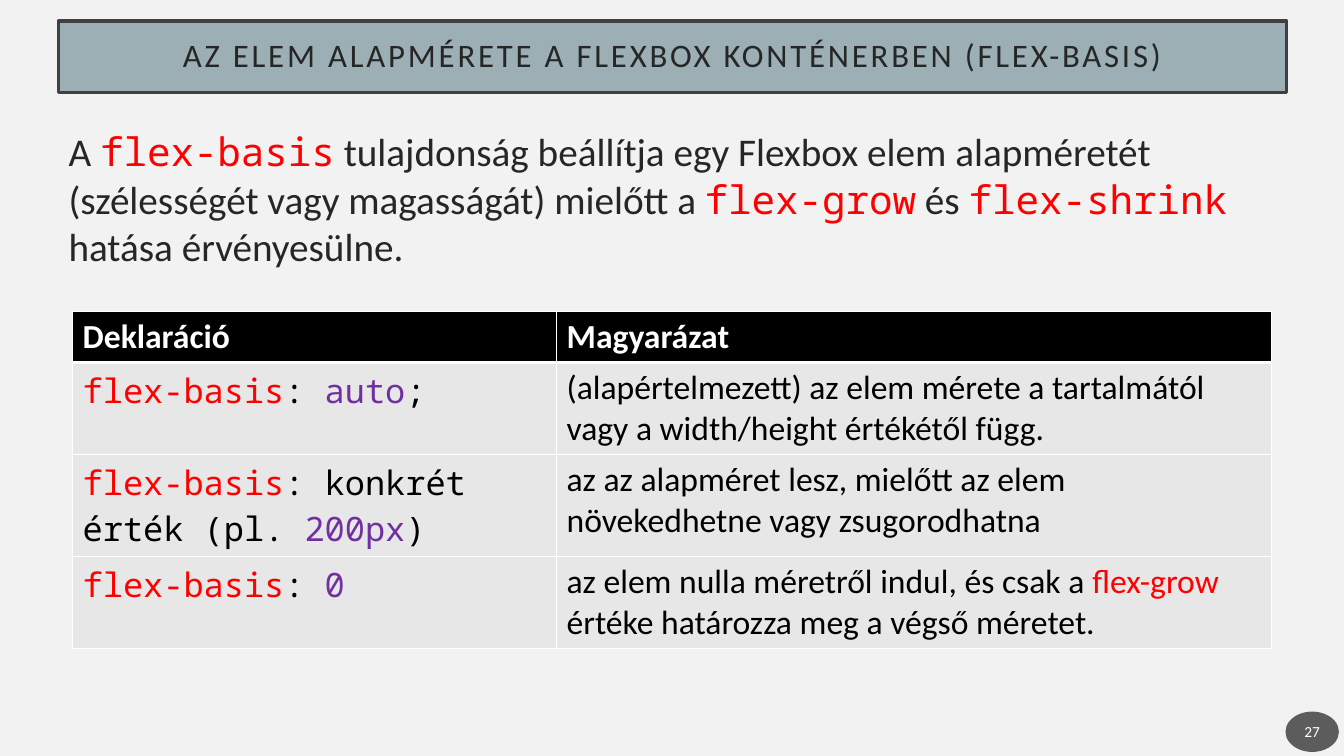
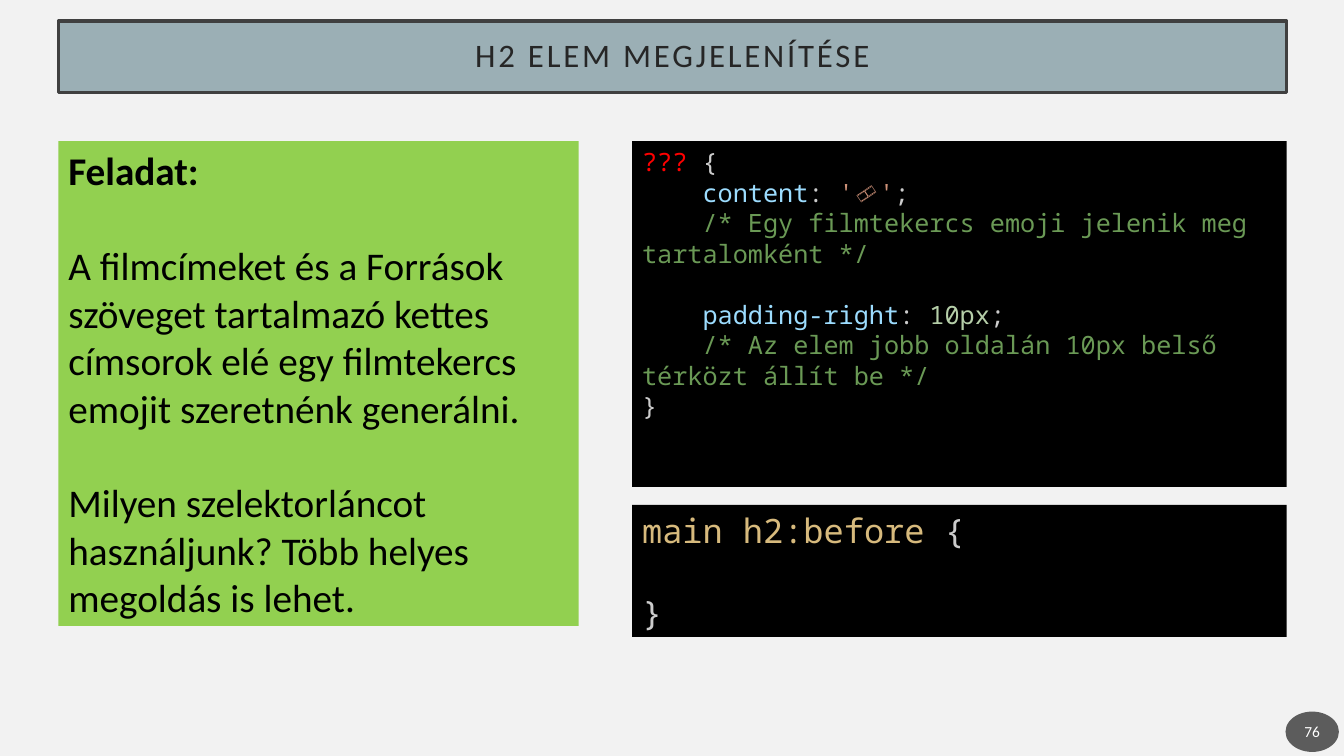
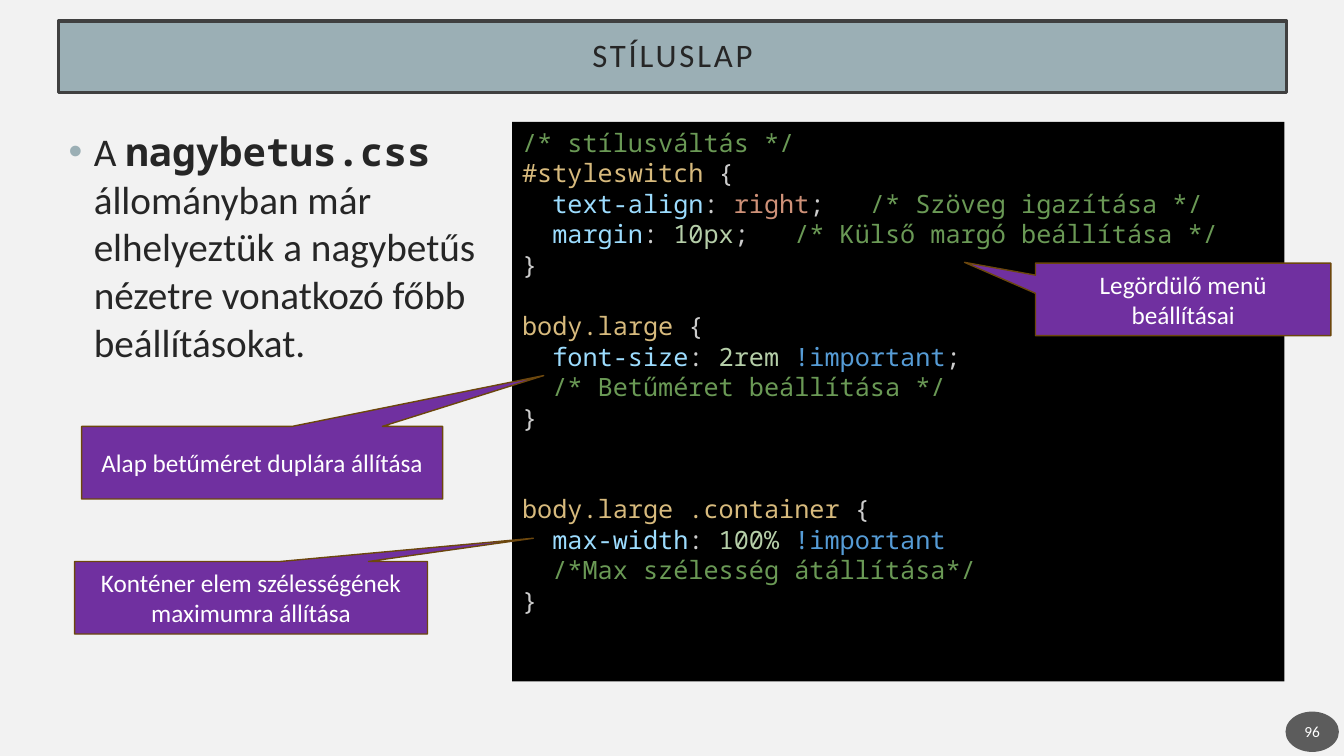
import pptx
import pptx.util
import pptx.dml.color
import pptx.enum.shapes
import pptx.enum.text
import pptx.oxml
import pptx.oxml.ns
import lxml.etree

Inches = pptx.util.Inches
Pt = pptx.util.Pt
SHAPE = pptx.enum.shapes.MSO_SHAPE
ALIGN = pptx.enum.text.PP_ALIGN
ANCHOR = pptx.enum.text.MSO_ANCHOR
qn = pptx.oxml.ns.qn

SANS, MONO = "Calibri", "Noto Sans Mono"
BG, BAND, BAND_LINE, INK, BADGE = "F2F2F2", "9BAFB5", "404040", "262626", "1D1D1D"
BLACK, WHITE, RED, PURPLE, GREEN = "000000", "FFFFFF", "FF0000", "7030A0", "92D050"
ROW_FILL, CALLOUT_LINE = "E7E7E7", "6C470D"
PLAIN, SELECTOR, PROPERTY, STRING = "CCCCCC", "D7BA7D", "9CDCFE", "CE9178"
NUMBER, KEYWORD, COMMENT = "B5CEA8", "569CD6", "6A9955"

LEFT, WIDTH = 0.58, 12.18
LINE_FACTOR = 1.21

BASIS = {
    "title": "AZ ELEM ALAPMÉRETE A FLEXBOX KONTÉNERBEN (FLEX-BASIS)",
    "number": 27,
    "body": [
        ("A ", INK), ("flex-basis", RED, MONO),
        (" tulajdonság beállítja egy Flexbox elem alapméretét (szélességét vagy magasságát) mielőtt a ", INK),
        ("flex-grow", RED, MONO), (" és ", INK), ("flex-shrink", RED, MONO),
        (" hatása érvényesülne.", INK),
    ],
    "columns": [4.8, 7.09],
    "row_heights": [0.5, 0.91, 1.01, 0.91],
    "rows": [
        ([("Deklaráció", WHITE, SANS, True)], [("Magyarázat", WHITE, SANS, True)]),
        ([("flex-basis", RED, MONO), (": ", BLACK, MONO), ("auto", PURPLE, MONO), (";", BLACK, MONO)],
         [("(alapértelmezett) az elem mérete a tartalmától vagy a width/height értékétől függ.", BLACK)]),
        ([("flex-basis", RED, MONO), (": konkrét érték (pl. ", BLACK, MONO),
          ("200px", PURPLE, MONO), (")", BLACK, MONO)],
         [("az az alapméret lesz, mielőtt az elem növekedhetne vagy zsugorodhatna", BLACK)]),
        ([("flex-basis", RED, MONO), (": ", BLACK, MONO), ("0", PURPLE, MONO)],
         [("az elem nulla méretről indul, és csak a ", BLACK), ("flex-grow", RED),
          (" értéke határozza meg a végső méretet.", BLACK)]),
    ],
}

HEADING = {
    "title": "H2 ELEM MEGJELENÍTÉSE",
    "number": 76,
    "task": [
        (0, [("Feladat:", BLACK, SANS, True)]),
        (1, [("A filmcímeket és a Források szöveget tartalmazó kettes címsorok elé "
              "egy filmtekercs emojit szeretnénk generálni.", BLACK)]),
        (1, [("Milyen szelektorláncot használjunk? Több helyes megoldás is lehet.", BLACK)]),
    ],
    "question": [
        (0, [("???", RED), (" {", PLAIN)]),
        (0, [("    content", PROPERTY), (": ", PLAIN), ("'🎞️'", STRING), (";", PLAIN)]),
        (0, [("    /* Egy filmtekercs emoji jelenik meg tartalomként */", COMMENT)]),
        (1, [("    padding-right", PROPERTY), (": ", PLAIN), ("10px", NUMBER), (";", PLAIN)]),
        (0, [("    /* Az elem jobb oldalán 10px belső térközt állít be */", COMMENT)]),
        (0, [("}", PLAIN)]),
    ],
    "answer": [
        (0, [("main h2:before", SELECTOR), (" {", PLAIN)]),
        (1, [("}", PLAIN)]),
    ],
}

STYLESHEET = {
    "title": "STÍLUSLAP",
    "number": 96,
    "body": [
        ("A ", INK), ("nagybetus.css ", INK, MONO, True),
        ("állományban már elhelyeztük a nagybetűs nézetre vonatkozó főbb beállításokat.", INK),
    ],
    "code": [
        (0, [("/* stílusváltás */", COMMENT)]),
        (0, [("#styleswitch", SELECTOR), (" {", PLAIN)]),
        (0, [("  text-align", PROPERTY), (": ", PLAIN), ("right", STRING), (";   ", PLAIN),
             ("/* Szöveg igazítása */", COMMENT)]),
        (0, [("  margin", PROPERTY), (": ", PLAIN), ("10px", NUMBER), (";   ", PLAIN),
             ("/* Külső margó beállítása */", COMMENT)]),
        (0, [("}", PLAIN)]),
        (1, [("body.large", SELECTOR), (" {", PLAIN)]),
        (0, [("  font-size", PROPERTY), (": ", PLAIN), ("2rem ", NUMBER),
             ("!important", KEYWORD), (";", PLAIN)]),
        (0, [("  /* Betűméret beállítása */", COMMENT)]),
        (0, [("}", PLAIN)]),
        (2, [("body.large .container", SELECTOR), (" {", PLAIN)]),
        (0, [("  max-width", PROPERTY), (": ", PLAIN), ("100% ", NUMBER), ("!important", KEYWORD)]),
        (0, [("  /*Max szélesség átállítása*/", COMMENT)]),
        (0, [("}", PLAIN)]),
    ],
    "callouts": [
        ("Alap betűméret duplára állítása", (0.81, 4.23, 3.58, 0.72), (0.78, -1.2)),
        ("Konténer elem szélességének maximumra állítása", (0.74, 5.57, 3.5, 0.72), (0.8, -0.82)),
        ("Legördülő menü beállításai", (10.27, 2.61, 2.93, 0.72), (-0.74, -0.51)),
    ],
}


def rgb(value):
    return pptx.dml.color.RGBColor.from_string(value)


def place(sp, box):
    sp.left, sp.top, sp.width, sp.height = map(Inches, box)


def paint(sp, fill, line=None, width=1):
    sp.fill.solid()
    sp.fill.fore_color.rgb = rgb(fill)
    if line:
        sp.line.color.rgb = rgb(line)
        sp.line.width = Pt(width)
    else:
        sp.line.fill.background()


def add_runs(p, runs, size, default_font=SANS):
    for text, color, *style in runs:
        r = p.add_run()
        r.text = text
        r.font.size = Pt(size)
        r.font.color.rgb = rgb(color)
        r.font.name = style[0] if style else default_font
        r.font.bold = len(style) > 1 and style[1]


def frame(sp, anchor=ANCHOR.TOP, margins=(0.1, 0.05)):
    tf = sp.text_frame
    tf.word_wrap = True
    tf.auto_size = pptx.enum.text.MSO_AUTO_SIZE.NONE
    tf.vertical_anchor = anchor
    tf.margin_left = tf.margin_right = Inches(margins[0])
    tf.margin_top = tf.margin_bottom = Inches(margins[1])
    return tf


def add_box(s, kind, box, fill, line=None):
    sp = s.shapes.add_shape(kind, *map(Inches, box))
    sp.shadow.inherit = False
    paint(sp, fill, line)
    return sp


def add_panel(s, box, fill, lines, size, font):
    tf = frame(add_box(s, SHAPE.RECTANGLE, box, fill))
    pitch = round(size * LINE_FACTOR, 1)
    for i, (gap, runs) in enumerate(lines):
        p = tf.add_paragraph() if i else tf.paragraphs[0]
        p.alignment = ALIGN.LEFT
        p.line_spacing = Pt(pitch)
        if gap:
            p.space_before = Pt(gap * pitch)
        add_runs(p, runs, size, font)


def add_centred(sp, text, size, margins=(0.1, 0.05)):
    p = frame(sp, ANCHOR.MIDDLE, margins).paragraphs[0]
    p.alignment = ALIGN.CENTER
    add_runs(p, [(text, WHITE)], size)


def start_slide(prs, layout, content):
    s = prs.slides.add_slide(prs.slide_layouts[layout])
    title = s.shapes.title
    place(title, (LEFT, 0.21, WIDTH, 0.71))
    paint(title, BAND, BAND_LINE, 2.5)
    p = frame(title, ANCHOR.MIDDLE, (0.2, 0.2)).paragraphs[0]
    p.alignment = ALIGN.CENTER
    p.line_spacing = 0.9
    add_runs(p, [(content["title"], INK)], 23.4)
    p.runs[0].font._element.set("spc", "200")

    badge = add_box(s, SHAPE.OVAL, (12.75, 7.06, 0.53, 0.4), BADGE)
    color = badge._element.spPr.find(qn("a:solidFill"))[0]
    lxml.etree.SubElement(color, qn("a:alpha"), val="70000")
    add_centred(badge, str(content["number"]), 11, (0.02, 0.05))
    return s


def fill_body(s, box, runs, bullet=False):
    body = s.placeholders[1]
    place(body, box)
    p = frame(body).paragraphs[0]
    p.space_before = Pt(0)
    p.line_spacing = Pt(34)
    pPr = p._p.get_or_add_pPr()
    indent = Inches(0.25) if bullet else 0
    pPr.set("marL", str(indent))
    pPr.set("indent", str(-indent))
    if bullet:
        color = lxml.etree.SubElement(pPr, qn("a:buClr"))
        lxml.etree.SubElement(color, qn("a:srgbClr"), val=BAND)
        lxml.etree.SubElement(pPr, qn("a:buChar"), char="•")
    else:
        lxml.etree.SubElement(pPr, qn("a:buNone"))
    add_runs(p, runs, 28)


def add_borders(cell, bottom, top):
    tcPr = cell._tc.get_or_add_tcPr()
    for side, width in (("lnL", 1), ("lnR", 1), ("lnT", top), ("lnB", bottom)):
        ln = lxml.etree.SubElement(tcPr, qn("a:" + side), w=str(Pt(width)))
        fill = lxml.etree.SubElement(ln, qn("a:solidFill"))
        lxml.etree.SubElement(fill, qn("a:srgbClr"), val=WHITE)


def add_grid(s, left, top, content):
    rows, columns, heights = content["rows"], content["columns"], content["row_heights"]
    table = s.shapes.add_table(len(rows), len(columns), Inches(left), Inches(top),
                               Inches(sum(columns)), Inches(sum(heights))).table
    for column, width in zip(table.columns, columns):
        column.width = Inches(width)
    for i, (row, height) in enumerate(zip(rows, heights)):
        table.rows[i].height = Inches(height)
        for j, runs in enumerate(row):
            cell = table.cell(i, j)
            add_borders(cell, bottom=1 if i else 3, top=3 if i == 1 else 1)
            cell.fill.solid()
            cell.fill.fore_color.rgb = rgb(ROW_FILL if i else BLACK)
            add_runs(cell.text_frame.paragraphs[0], runs, 24)


def build_basis(prs):
    s = start_slide(prs, 1, BASIS)
    fill_body(s, (LEFT, 1.21, WIDTH, 1.66), BASIS["body"])
    add_grid(s, 0.72, 3.09, BASIS)


def build_heading(prs):
    s = start_slide(prs, 5, HEADING)
    add_panel(s, (6.27, 1.4, 6.49, 3.43), BLACK, HEADING["question"], 18, MONO)
    add_panel(s, (LEFT, 1.4, 5.16, 4.81), GREEN, HEADING["task"], 28, SANS)
    add_panel(s, (6.27, 5.01, 6.49, 1.31), BLACK, HEADING["answer"], 24, MONO)


def build_stylesheet(prs):
    s = start_slide(prs, 1, STYLESHEET)
    fill_body(s, (LEFT, 1.21, 4.31, 5.77), STYLESHEET["body"], bullet=True)
    add_panel(s, (5.08, 1.21, 7.66, 5.55), BLACK, STYLESHEET["code"], 18, MONO)
    for text, box, tip in STYLESHEET["callouts"]:
        sp = add_box(s, SHAPE.RECTANGULAR_CALLOUT, box, PURPLE, CALLOUT_LINE)
        sp.adjustments[0], sp.adjustments[1] = tip
        add_centred(sp, text, 18)


def main():
    prs = pptx.Presentation()
    prs.slide_width, prs.slide_height = Inches(13.33), Inches(7.5)
    background = prs.slide_master.background.fill
    background.solid()
    background.fore_color.rgb = rgb(BG)
    build_basis(prs)
    build_heading(prs)
    build_stylesheet(prs)
    prs.save("out.pptx")


if __name__ == "__main__":
    main()
